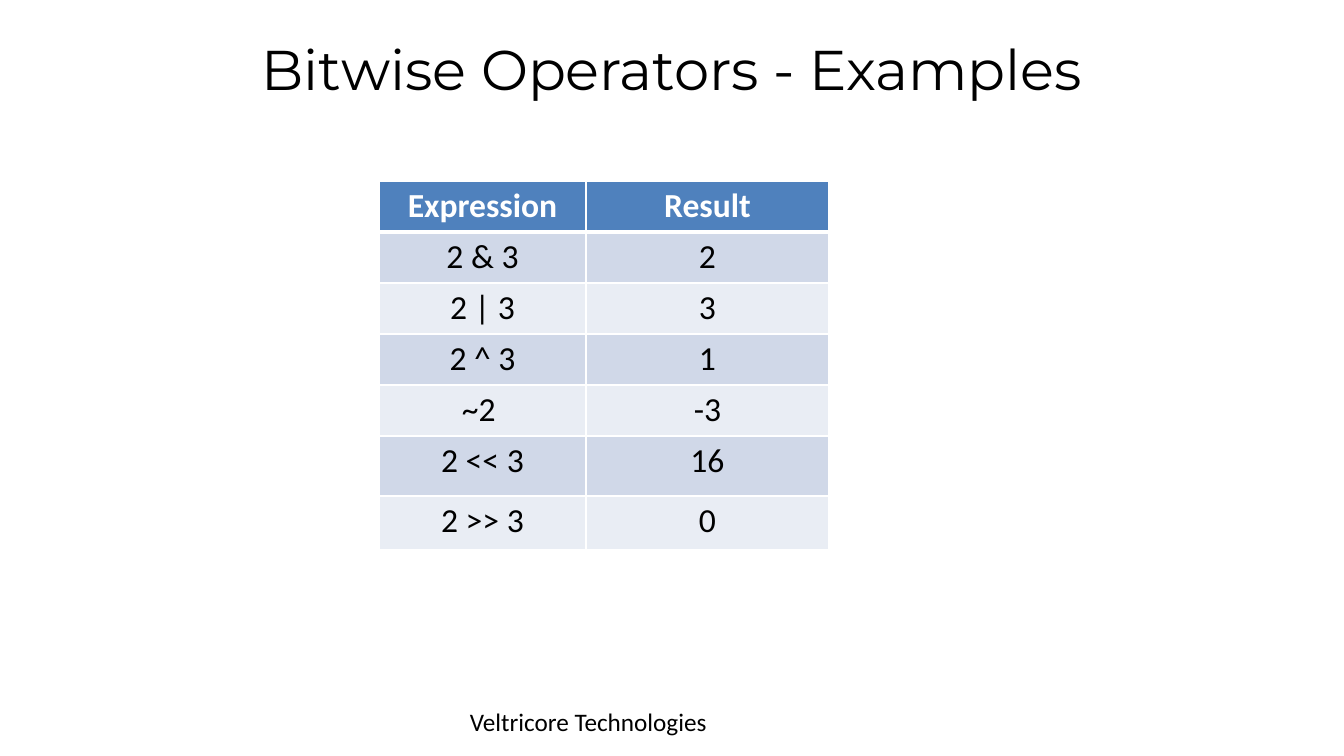
from dataclasses import dataclass
from lxml.etree import SubElement
from pptx import Presentation
from pptx.dml.color import RGBColor
from pptx.enum.text import MSO_ANCHOR as Anchor, PP_ALIGN as Align
from pptx.oxml import parse_xml
from pptx.oxml.ns import qn
from pptx.util import Emu, Pt

EMU_PER_PX = 914400 / 100.8
BLACK, WHITE = "000000", "FFFFFF"
HEADER_FILL = "4F81BD"
BAND_FILLS = ("D0D8E8", "E9EDF4")


@dataclass(frozen=True)
class Label:
    text: str
    left: int
    top: int
    width: int
    height: int
    size: int
    font: str
    align: Align


@dataclass(frozen=True)
class Row:
    expression: str
    result: str
    height: int = 51


LABELS = (
    Label("Bitwise Operators - Examples", 67, 30, 1210, 126, 40, "Montserrat", Align.CENTER),
    Label("Veltricore Technologies", 460, 701, 425, 40, 18, "Calibri", Align.LEFT),
)
ROWS = (
    Row("Expression", "Result"),
    Row("2 & 3", "2"),
    Row("2 | 3", "3"),
    Row("2 ^ 3", "1"),
    Row("~2 ", "-3"),
    Row("2 << 3", "16", 60),
    Row("2 >> 3", "0", 54),
)
COLUMN_WIDTHS = (207, 243)


def px(length: int) -> Emu:
    return Emu(round(length * EMU_PER_PX))


def color(value: str) -> RGBColor:
    return RGBColor.from_string(value)


def write(frame, text: str, *, size: int, font: str, fill: str = BLACK,
          bold: bool = False, align: Align = Align.LEFT) -> None:
    para = frame.paragraphs[0]
    para.alignment = align
    span = para.add_run()
    span.text = text
    span.font.size = Pt(size)
    span.font.name = font
    span.font.bold = bold
    span.font.color.rgb = color(fill)


def add_label(page, label: Label) -> None:
    box = page.shapes.add_textbox(px(label.left), px(label.top), px(label.width), px(label.height))
    box.text_frame.word_wrap = True
    box.text_frame.vertical_anchor = Anchor.TOP
    write(box.text_frame, label.text, size=label.size, font=label.font, align=label.align)


def set_borders(cell, top: int, bottom: int) -> None:
    properties = cell._tc.get_or_add_tcPr()
    widths = {"lnL": 1, "lnR": 1, "lnT": top, "lnB": bottom}
    for position, (side, width) in enumerate(widths.items()):
        line = parse_xml(
            f'<a:{side} xmlns:a="http://schemas.openxmlformats.org/drawingml/2006/main" w="{Pt(width)}"/>'
        )
        solid = SubElement(line, qn("a:solidFill"))
        SubElement(solid, qn("a:srgbClr"), val=WHITE)
        properties.insert(position, line)


def add_operator_table(page, left: int, top: int) -> None:
    height = sum(row.height for row in ROWS)
    table = page.shapes.add_table(
        len(ROWS), len(COLUMN_WIDTHS), px(left), px(top), px(sum(COLUMN_WIDTHS)), px(height)
    ).table
    for column, width in zip(table.columns, COLUMN_WIDTHS):
        column.width = px(width)
    for index, row in enumerate(ROWS):
        header = index == 0
        table.rows[index].height = px(row.height)
        for column, text in enumerate((row.expression, row.result)):
            cell = table.cell(index, column)
            cell.fill.solid()
            cell.fill.fore_color.rgb = color(HEADER_FILL if header else BAND_FILLS[(index - 1) % 2])
            set_borders(cell, top=3 if index == 1 else 1, bottom=3 if header else 1)
            write(cell.text_frame, text, size=24, font="Calibri",
                  fill=WHITE if header else BLACK, bold=header, align=Align.CENTER)


def main() -> None:
    deck = Presentation()
    deck.slide_width, deck.slide_height = px(1344), px(756)
    page = deck.slides.add_slide(deck.slide_layouts[6])
    title, footer = LABELS
    add_label(page, title)
    add_operator_table(page, 379, 181)
    add_label(page, footer)
    deck.save("out.pptx")


if __name__ == "__main__":
    main()
